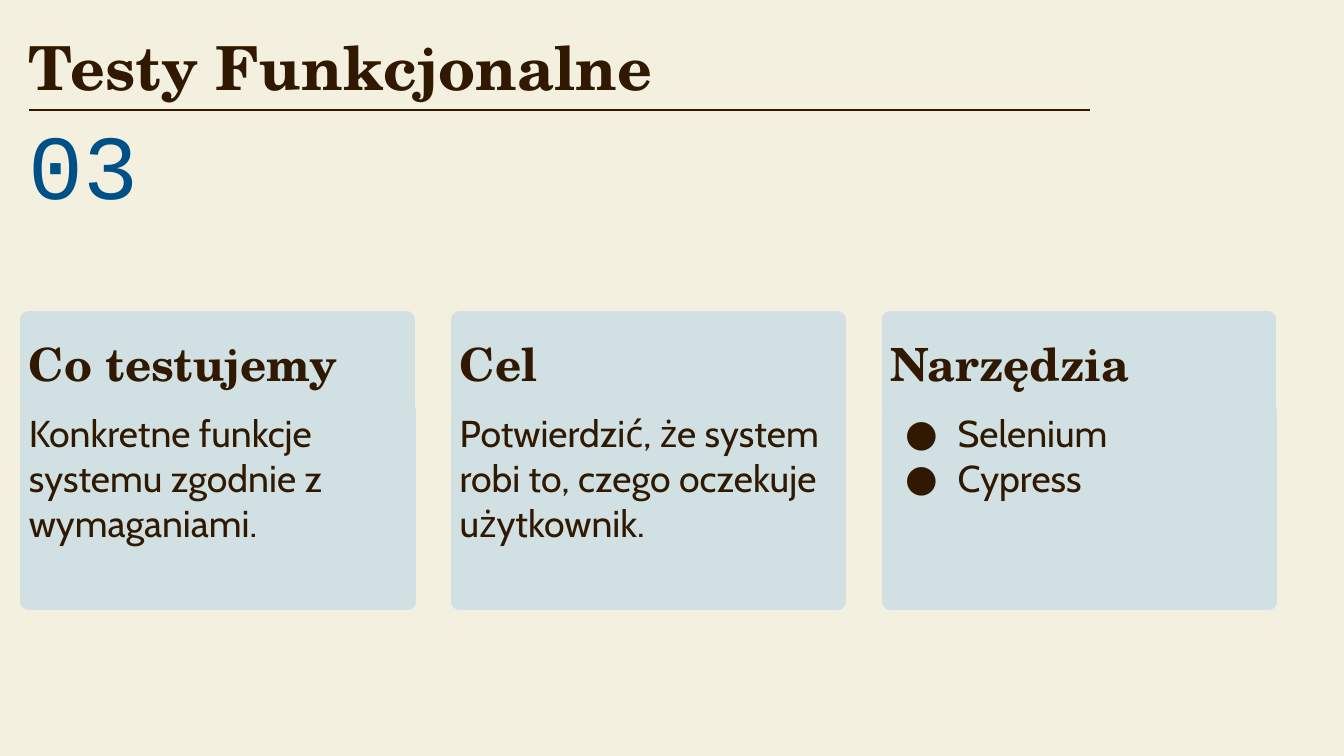
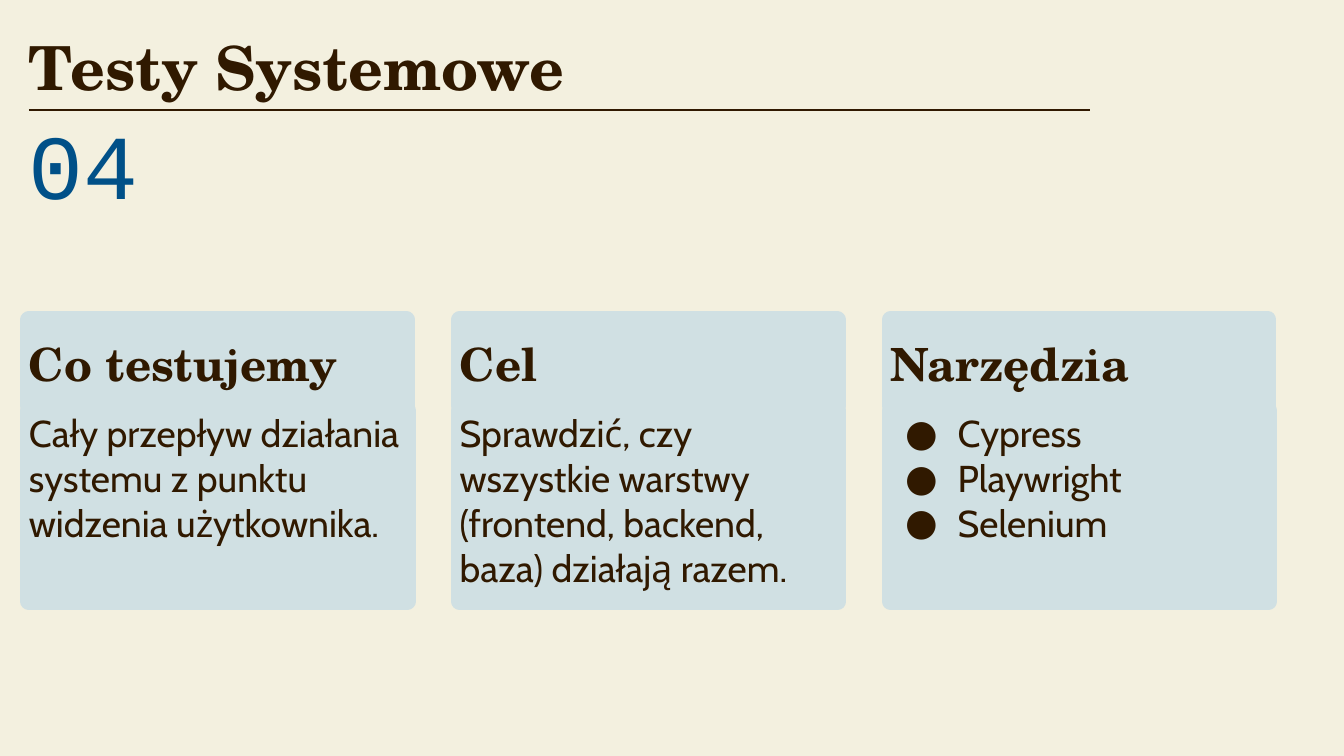
from pptx import Presentation
from pptx.dml.color import RGBColor
from pptx.enum.shapes import MSO_CONNECTOR, MSO_SHAPE
from pptx.enum.text import MSO_ANCHOR, MSO_AUTO_SIZE, PP_ALIGN
from pptx.oxml.ns import qn
from pptx.util import Pt
from lxml import etree

LINE, RECT = MSO_CONNECTOR.STRAIGHT, MSO_SHAPE.RECTANGLE
TOP, MIDDLE = MSO_ANCHOR.TOP, MSO_ANCHOR.MIDDLE
LEFT, NO_FIT = PP_ALIGN.LEFT, MSO_AUTO_SIZE.NONE

# Scale: 200 px to the inch
PX = 4572
PAPER, INK, BLUE, PANEL = "F3F0DF", "301900", "005088", "D0E0E3"
SERIF, SANS, MONO = "TeX Gyre Schola", "Cabin", "Courier New"

# Columns
EDGE, STEP = 43, 641
HEADS = ["Co testujemy", "Cel", "Narzędzia"]

SLIDES = [
    ("03", "Testy Funkcjonalne", [
        ["Konkretne funkcje systemu zgodnie z wymaganiami."],
        ["Potwierdzić, że system robi to, czego oczekuje użytkownik."],
        ["Selenium", "Cypress"],
    ]),
    ("04", "Testy Systemowe", [
        ["Cały przepływ działania systemu z punktu widzenia użytkownika."],
        ["Sprawdzić, czy wszystkie warstwy (frontend, backend, baza) "
         "działają razem."],
        ["Cypress", "Playwright", "Selenium"],
    ]),
]


def px(*nums):
    return [num * PX for num in nums]


def color(code):
    return RGBColor.from_string(code)


def write(shape, lines, font, size, tint=INK, bold=False, anchor=MIDDLE,
          pad=(0, 0, 20, 0), bullet=False):
    """Fill a shape with formatted, left-aligned paragraphs."""
    frame = shape.text_frame
    frame.text = "\n".join(lines)
    frame.word_wrap = True
    frame.auto_size = NO_FIT
    frame.vertical_anchor = anchor
    (frame.margin_left, frame.margin_top,
     frame.margin_right, frame.margin_bottom) = px(*pad)
    for para in frame.paragraphs:
        para.alignment = LEFT
        if bullet:
            mark(para)
        for run in para.runs:
            run.font.name = font
            run.font.size = Pt(size)
            run.font.bold = bold
            run.font.color.rgb = color(tint)


def mark(para):
    """Give a paragraph a round bullet and a hanging indent."""
    props = para._p.get_or_add_pPr()
    props.set("marL", str(100 * PX))
    props.set("indent", str(-78 * PX))
    tint = etree.SubElement(props, qn("a:buClr"))
    etree.SubElement(tint, qn("a:srgbClr"), val=INK)
    etree.SubElement(props, qn("a:buFont"), typeface=SANS)
    etree.SubElement(props, qn("a:buChar"), char="●")


def panel(slide, *box):
    """Add a panel whose thick round outline softens the corners."""
    shape = slide.shapes.add_shape(RECT, *px(*box))
    shape.shadow.inherit = False
    shape.fill.solid()
    shape.fill.fore_color.rgb = color(PANEL)
    shape.line.color.rgb = color(PANEL)
    shape.line.width = Pt(9)
    etree.SubElement(shape.element.spPr.find(qn("a:ln")), qn("a:round"))
    return shape


def header(slide, number, name):
    # Title
    title = slide.shapes.title
    title.left, title.top, title.width, title.height = px(EDGE, 35, 1106, 128)
    write(title, [name], SERIF, 32.5, bold=True)
    # Rule
    rule = slide.shapes.add_connector(LINE, *px(EDGE, 164, 1622, 164))
    rule.line.color.rgb = color(INK)
    rule.line.width = Pt(0.75)
    etree.SubElement(rule.element.spPr, qn("a:effectLst"))
    # Number
    box = slide.shapes.add_textbox(*px(EDGE, 166, 214, 168))
    write(box, [number], MONO, 49, BLUE, pad=(0, 20, 0, 6))
    box.text_frame.paragraphs[0].line_spacing = 0.8


def column(slide, left, head, lines):
    top = panel(slide, left, 476, 562, 128)
    write(top, [head], SERIF, 24.5, bold=True)
    body = panel(slide, left, 611, 563, 284)
    write(body, lines, SANS, 20, anchor=TOP, pad=(0, 0, 0, 0),
          bullet=len(lines) > 1)


def main():
    deck = Presentation()
    deck.slide_width, deck.slide_height = px(2000, 1125)
    back = deck.slide_master.background.fill
    back.solid()
    back.fore_color.rgb = color(PAPER)
    layout = deck.slide_layouts.get_by_name("Title Only")
    for number, name, bodies in SLIDES:
        slide = deck.slides.add_slide(layout)
        header(slide, number, name)
        for index, (head, lines) in enumerate(zip(HEADS, bodies)):
            column(slide, EDGE + index * STEP, head, lines)
    deck.save("out.pptx")


if __name__ == "__main__":
    main()
